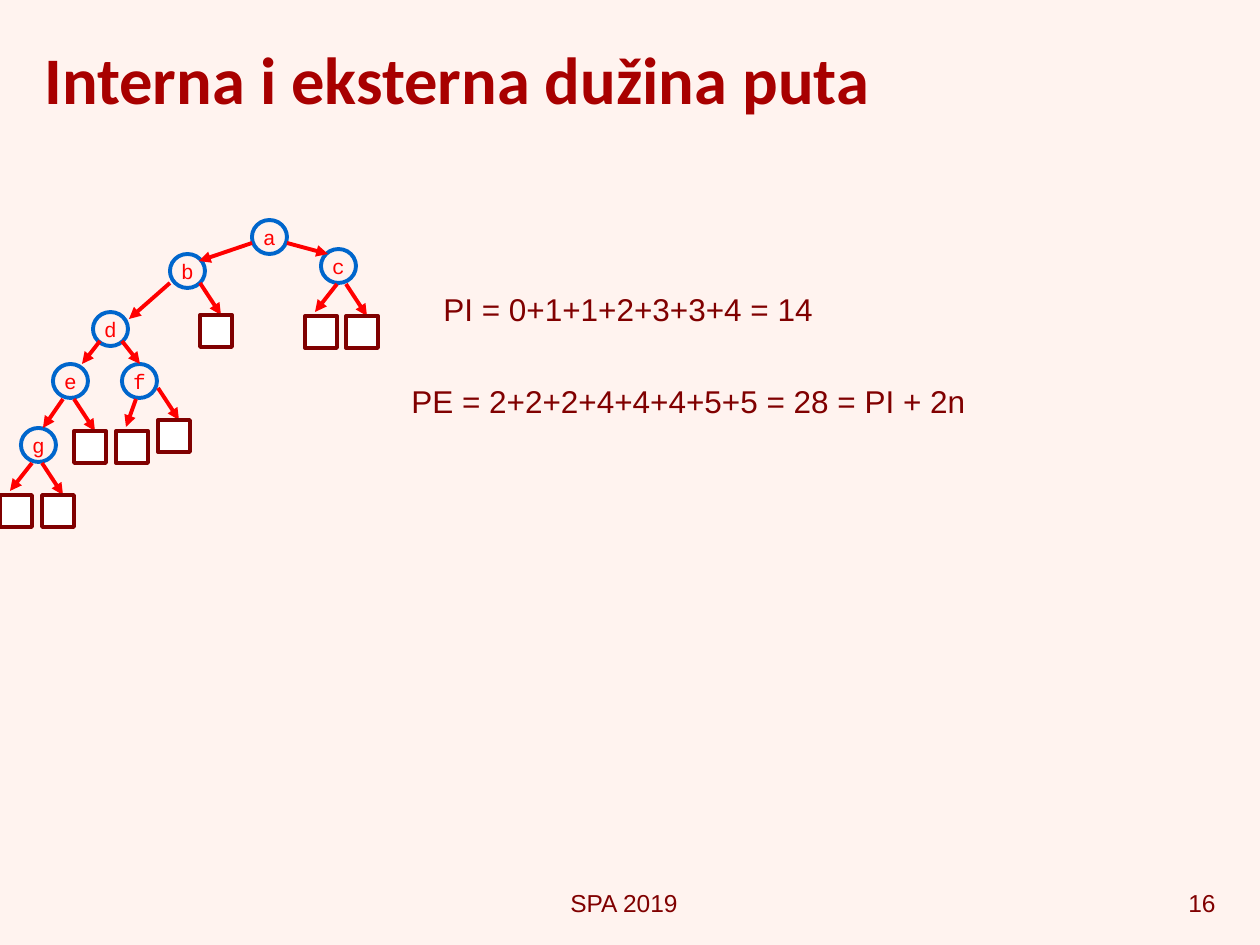
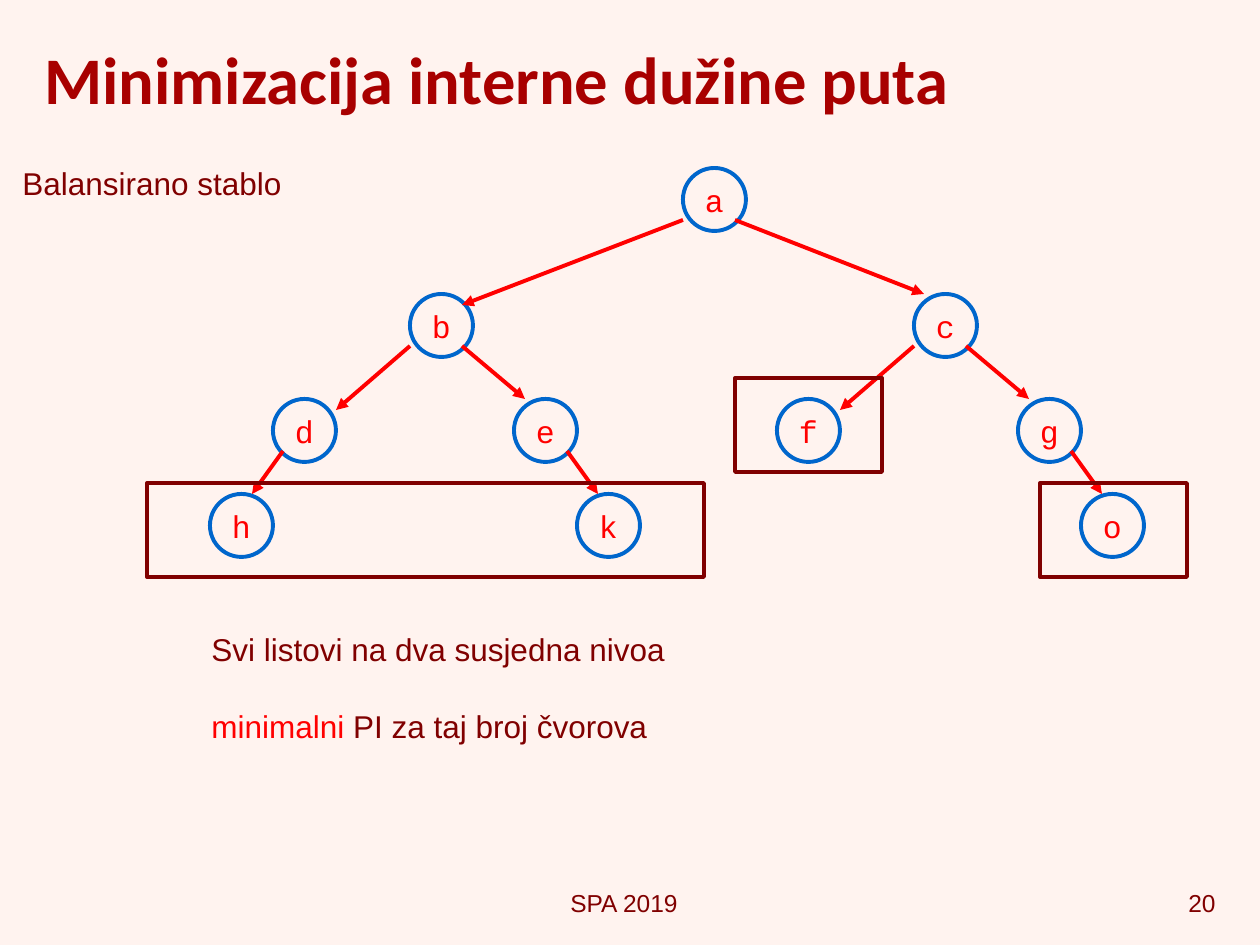
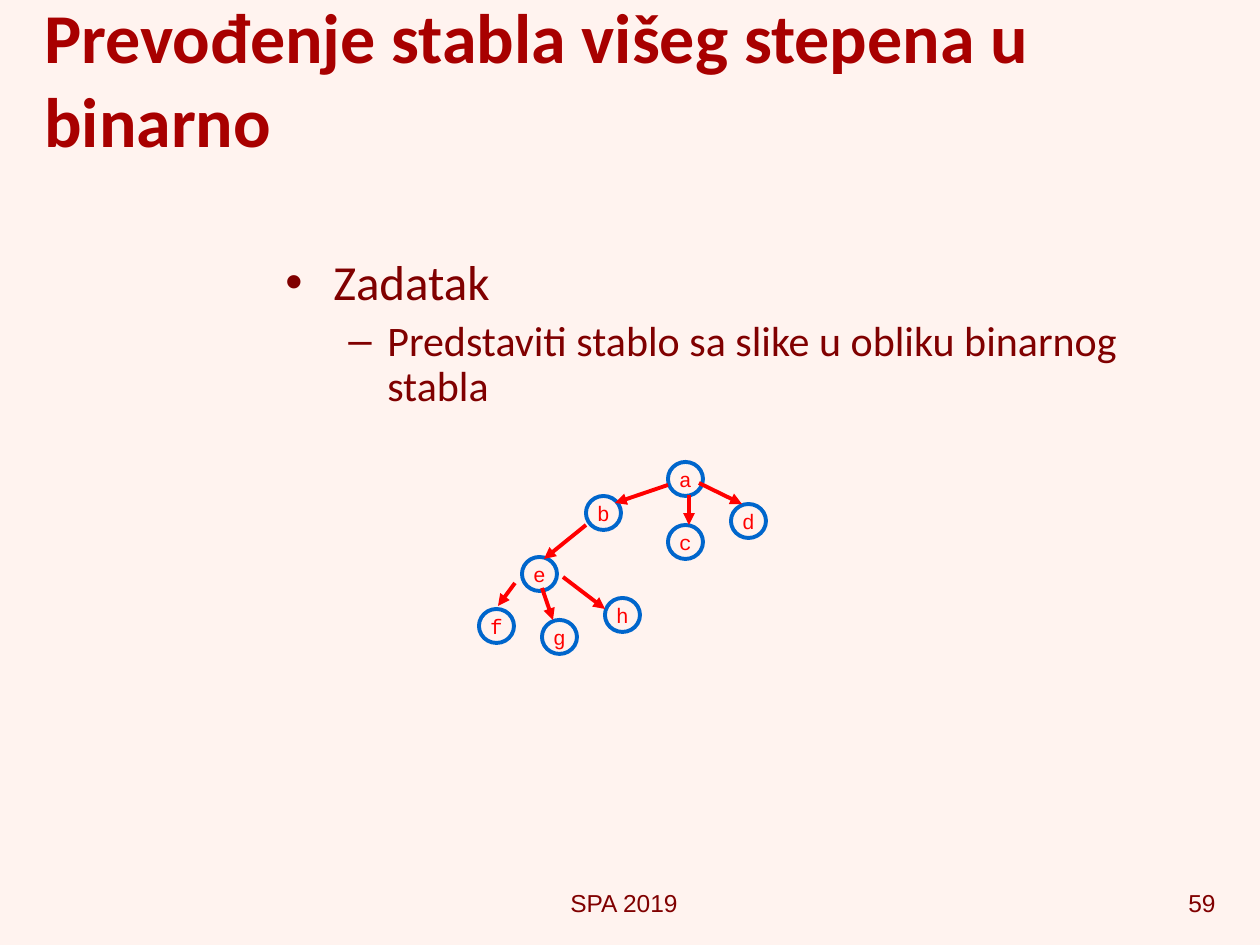
from lxml import etree
from pptx import Presentation
from pptx.dml.color import RGBColor
from pptx.enum.shapes import MSO_CONNECTOR, MSO_SHAPE
from pptx.enum.text import MSO_ANCHOR, PP_ALIGN
from pptx.oxml.ns import qn
from pptx.util import Emu, Pt

PX = 914400 / 126
LEFT, CENTER, RIGHT = PP_ALIGN.LEFT, PP_ALIGN.CENTER, PP_ALIGN.RIGHT
TOP, MIDDLE = MSO_ANCHOR.TOP, MSO_ANCHOR.MIDDLE
OVAL, RECTANGLE = MSO_SHAPE.OVAL, MSO_SHAPE.RECTANGLE
STRAIGHT = MSO_CONNECTOR.STRAIGHT

COLORS = {
    "background": "FFF3EF",
    "title": "A80000",
    "text": "800000",
    "accent": "FF0000",
    "node": "0066CC",
    "leaf": "FFFFFF",
}
LINE_WIDTH = Pt(2.25)
SMALL_NODE = (35, 34, 12)  # width, height, letter size
LARGE_NODE = (63, 63, 18)
LEAF_SIDE = 32

# Nodes are (left, top) and edges (x1, y1, x2, y2), relative to the tree's corner.
PATH_NODES = {
    "a": (252, 0), "b": (170, 34), "c": (321, 29), "d": (93, 92),
    "e": (53, 144), "f": (122, 144), "g": (21, 208),
}
PATH_EDGES = [
    (252, 23, 199, 41), (287, 23, 328, 34), (170, 63, 129, 99),
    (100, 121, 82, 144), (122, 121, 140, 144), (63, 179, 43, 208),
]
# Left, top, and how far right of the leaf's left side its arrow starts.
PATH_LEAVES = [
    (0, 275, 32), (42, 275, 0), (74, 211, 0), (116, 211, 20),
    (158, 200, 0), (200, 95, 0), (305, 96, 32), (346, 96, 0),
]

BALANCED_NODES = {
    "a": (536, 0), "b": (263, 126), "c": (767, 126), "d": (126, 231),
    "e": (367, 231), "f": (630, 231), "g": (871, 231),
    "h": (63, 326), "k": (430, 326), "o": (934, 326),
}
BALANCED_EDGES = [
    (536, 52, 315, 137), (588, 52, 777, 126), (263, 178, 189, 242),
    (315, 178, 378, 231), (767, 178, 693, 242), (819, 178, 882, 231),
    (136, 283, 105, 326), (420, 283, 451, 326), (924, 283, 955, 326),
]
LEAF_FRAMES = [(0, 315, 557, 94), (588, 210, 147, 94), (893, 315, 147, 94)]

GENERAL_NODES = {
    "a": (189, 0), "b": (107, 34), "c": (189, 63), "d": (252, 42),
    "e": (43, 95), "f": (0, 147), "g": (63, 158), "h": (126, 136),
}
GENERAL_EDGES = [
    (189, 23, 136, 41), (210, 33, 210, 63), (220, 21, 263, 42),
    (107, 63, 65, 97), (36, 121, 19, 144), (63, 126, 74, 158),
    (84, 115, 126, 147),
]


def px(*lengths):
    return [Emu(round(length * PX)) for length in lengths]


def rgb(name):
    return RGBColor.from_string(COLORS[name])


def set_font(font, size, color="text", name="Arial", bold=False):
    font.size, font.name, font.bold = Pt(size), name, bold
    font.color.rgb = rgb(color)


def add_text(page, box, text, size, color="text", name="Arial", bold=False,
             align=LEFT, anchor=TOP):
    """Add a wrapping text box and return its text frame."""
    frame = page.shapes.add_textbox(*px(*box)).text_frame
    frame.word_wrap = True
    frame.vertical_anchor = anchor
    para = frame.paragraphs[0]
    para.text, para.alignment = text, align
    set_font(para.font, size, color, name, bold)
    return frame


def add_outlined(page, kind, box, line, fill=None):
    shape = page.shapes.add_shape(kind, *px(*box))
    shape.shadow.inherit = False
    if fill:
        shape.fill.solid()
        shape.fill.fore_color.rgb = rgb(fill)
    else:
        shape.fill.background()
    shape.line.color.rgb = rgb(line)
    shape.line.width = LINE_WIDTH
    return shape


def add_node(page, box, letter, size):
    frame = add_outlined(page, OVAL, box, "node", "background").text_frame
    frame.margin_left = frame.margin_right = 0
    frame.margin_top = frame.margin_bottom = 0
    frame.word_wrap = False
    frame.vertical_anchor = MIDDLE
    para = frame.paragraphs[0]
    para.text, para.alignment = letter, CENTER
    set_font(para.font, size, "accent", "Courier New")


def add_arrow(page, x1, y1, x2, y2):
    arrow = page.shapes.add_connector(STRAIGHT, *px(x1, y1, x2, y2))
    arrow.line.color.rgb = rgb("accent")
    arrow.line.width = LINE_WIDTH
    properties = arrow.element.spPr
    etree.SubElement(properties.get_or_add_ln(), qn("a:tailEnd"), type="triangle")
    etree.SubElement(properties, qn("a:effectLst"))


def add_tree(page, left, top, nodes, edges, node_style):
    width, height, size = node_style
    for letter, (x, y) in nodes.items():
        add_node(page, (left + x, top + y, width, height), letter, size)
    for x1, y1, x2, y2 in edges:
        add_arrow(page, left + x1, top + y1, left + x2, top + y2)


def add_leaves(page, left, top, leaves):
    """Add square external nodes, each with the arrow from its parent."""
    for x, y, start in leaves:
        x, y = left + x, top + y
        end, gap = (10, 4) if start else (21, 0)
        add_arrow(page, x + start, y - 32, x + end, y - gap)
        add_outlined(page, RECTANGLE, (x, y, LEAF_SIDE, LEAF_SIDE), "text", "leaf")


def add_bullet(para, text, bullet, margin, indent, size):
    properties = para._p.get_or_add_pPr()
    properties.set("marL", str(px(margin)[0]))
    properties.set("indent", str(px(-indent)[0]))
    etree.SubElement(properties, qn("a:buFont"), typeface="Arial")
    etree.SubElement(properties, qn("a:buChar"), char=bullet)
    para.text, para.line_spacing = text, 0.9
    set_font(para.font, size, name="Calibri")


def add_page(deck, title, number, title_size=38):
    """Add a slide with the shared title, footer and slide number."""
    page = deck.slides.add_slide(deck.slide_layouts[6])
    add_text(page, (471, 882, 306, 42), "SPA 2019", 14, align=CENTER)
    add_text(page, (976, 882, 252, 42), number, 14, align=RIGHT)
    add_text(page, (32, 10, 1196, 136), title, title_size, "title", "Calibri",
             bold=True, anchor=MIDDLE)
    return page


def build_path_length(deck):
    page = add_page(deck, "Interna i eksterna dužina puta", "16")
    add_text(page, (431, 284, 586, 54), "PI = 0+1+1+2+3+3+4 = 14", 18)
    add_text(page, (399, 376, 849, 54), "PE = 2+2+2+4+4+4+5+5 = 28 = PI + 2n", 18)
    add_tree(page, 0, 220, PATH_NODES, PATH_EDGES, SMALL_NODE)
    add_leaves(page, 0, 220, PATH_LEAVES)


def build_balanced_tree(deck):
    page = add_page(deck, "Minimizacija interne dužine puta", "20")
    left, top = 147, 168
    add_tree(page, left, top, BALANCED_NODES, BALANCED_EDGES, LARGE_NODE)
    for x, y, width, height in LEAF_FRAMES:
        add_outlined(page, RECTANGLE, (left + x, top + y, width, height), "text")
    add_text(page, (10, 158, 392, 54), "Balansirano stablo", 18)
    frame = add_text(page, (199, 624, 668, 155), "Svi listovi na dva susjedna nivoa", 18)
    para = frame.add_paragraph()
    para.space_before = Pt(22.5)
    set_font(para.font, 18)
    for text, color in (("minimalni", "accent"), (" PI za taj broj čvorova", "text")):
        span = para.add_run()
        span.text = text
        span.font.color.rgb = rgb(color)


def build_conversion_task(deck):
    page = add_page(deck, "Prevođenje stabla višeg stepena u binarno", "59", 40)
    frame = page.shapes.add_textbox(*px(273, 252, 945, 168)).text_frame
    frame.word_wrap = True
    add_bullet(frame.paragraphs[0], "Zadatak", "•", 48, 48, 28)
    detail = frame.add_paragraph()
    detail.level = 1
    add_bullet(detail, "Predstaviti stablo sa slike u obliku binarnog stabla",
               "–", 102, 39, 24)
    detail.space_before = Pt(5)
    add_tree(page, 479, 462, GENERAL_NODES, GENERAL_EDGES, SMALL_NODE)


def main():
    deck = Presentation()
    deck.slide_width, deck.slide_height = px(1260, 945)
    background = deck.slide_master.background.fill
    background.solid()
    background.fore_color.rgb = rgb("background")
    build_path_length(deck)
    build_balanced_tree(deck)
    build_conversion_task(deck)
    deck.save("out.pptx")


if __name__ == "__main__":
    main()
